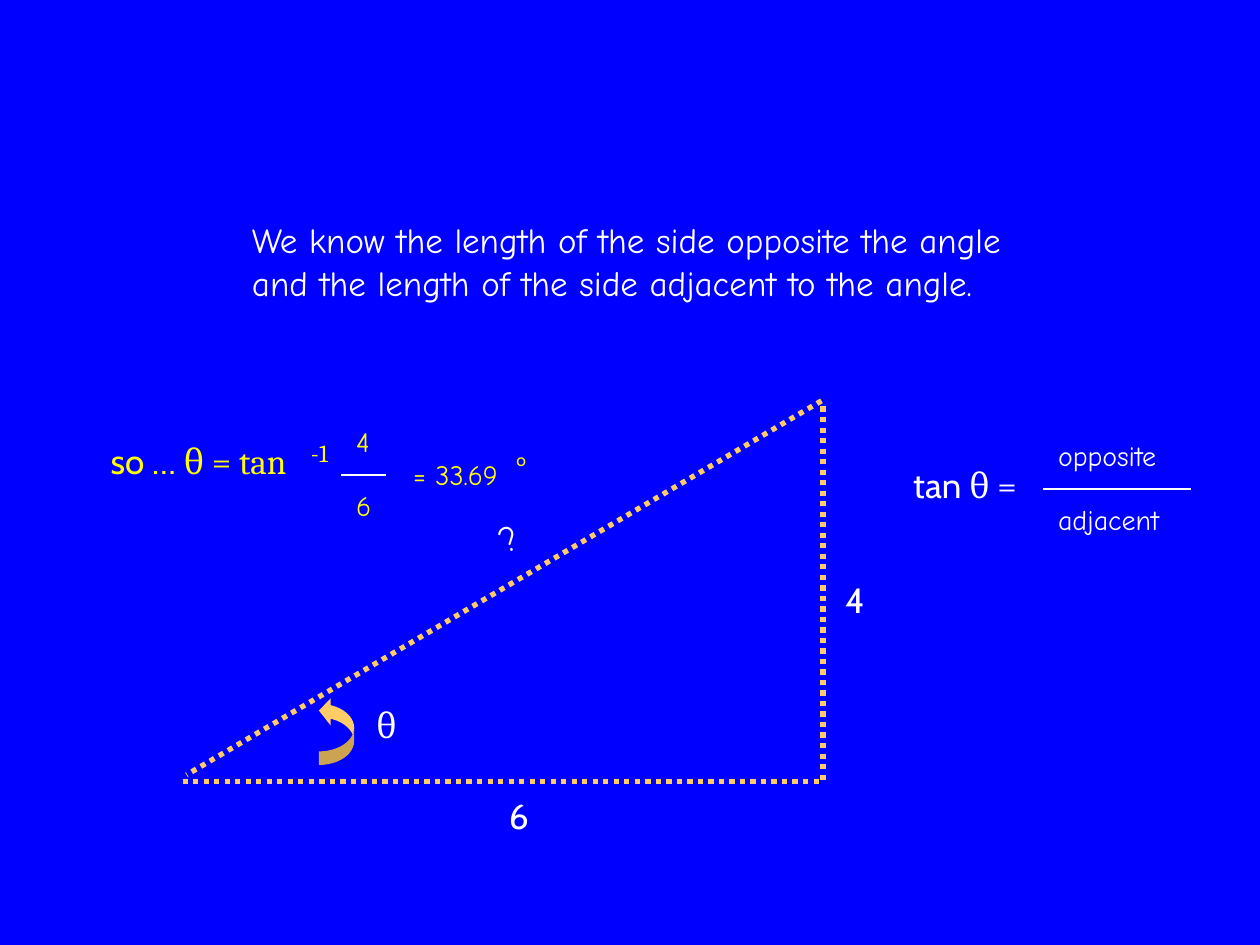
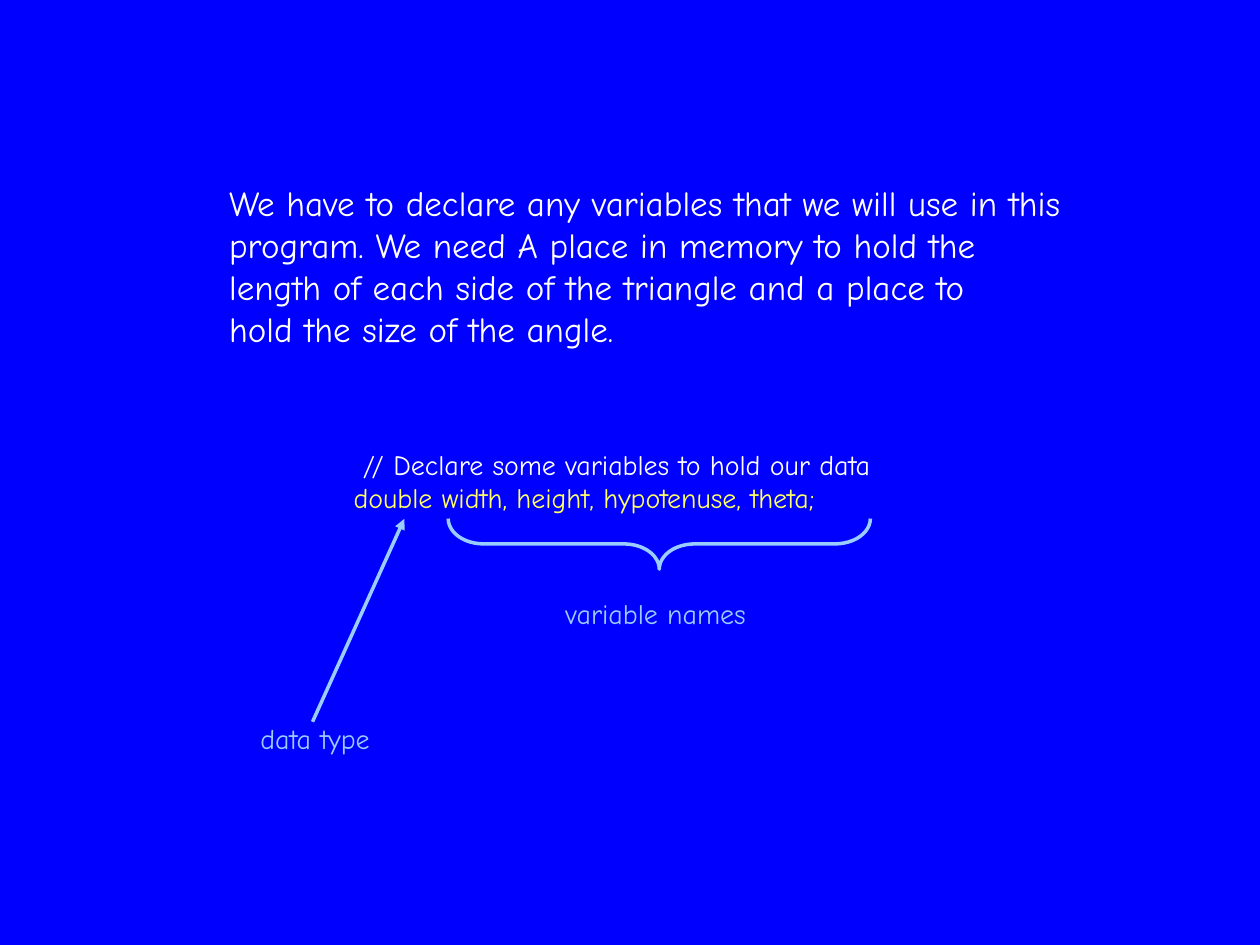
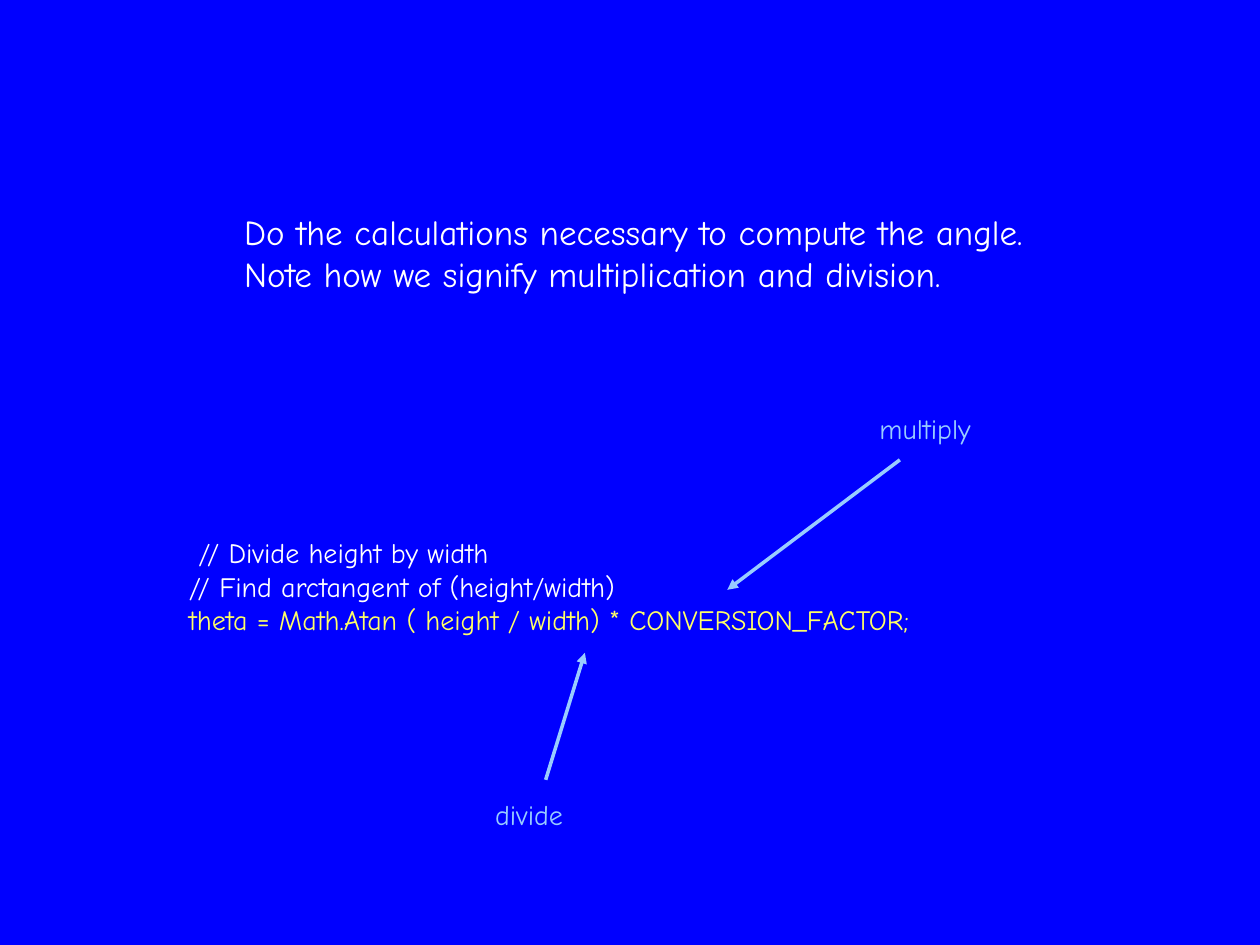
from lxml import etree
from pptx import Presentation
from pptx import util as u
from pptx.dml import color as c
from pptx.enum import dml, shapes, text
from pptx.oxml import ns

# Shared look
BLUE, WHITE, YELLOW = "0000FF", "FFFFFF", "FFFF00"
CODE_YELLOW, SKY, GOLD = "FFFF66", "99CCFF", "FFCC66"
HAND, SANS, SERIF = "Comic Neue", "Cabin", "Cambria"
LARGE, SMALL = 20, 16


def rgb(value):
    return c.RGBColor.from_string(value)


def format_run(run, size, font, color):
    run.font.size = u.Pt(size)
    run.font.name = font
    run.font.color.rgb = rgb(color)


def add_text(parent, left, top, width, content, size=SMALL, font=HAND, color=WHITE):
    """Add an unwrapped text box, one paragraph per line of content."""
    line_count = content.count("\n") + 1
    height = 0.25 + 0.0427 * size * line_count
    box = parent.shapes.add_textbox(u.Cm(left), u.Cm(top), u.Cm(width), u.Cm(height))
    frame = box.text_frame
    frame.text = content
    frame.word_wrap = False
    frame.auto_size = text.MSO_AUTO_SIZE.SHAPE_TO_FIT_TEXT
    for paragraph in frame.paragraphs:
        for run in paragraph.runs:
            format_run(run, size, font, color)
    return box


def add_line(parent, start, end, color, weight, dash=None, arrow=False):
    points = [u.Cm(value) for value in (*start, *end)]
    line = parent.shapes.add_connector(shapes.MSO_CONNECTOR.STRAIGHT, *points)
    line.line.color.rgb = rgb(color)
    line.line.width = u.Pt(weight)
    if dash:
        line.line.dash_style = dash
    if arrow:
        etree.SubElement(line.line._get_or_add_ln(), ns.qn("a:tailEnd"), type="triangle")
    etree.SubElement(line._element.spPr, ns.qn("a:effectLst"))


def add_preset(parent, kind, left, top, width, height, rotation, adjustments):
    shape = parent.shapes.add_shape(kind, u.Cm(left), u.Cm(top), u.Cm(width), u.Cm(height))
    shape.shadow.inherit = False
    shape.rotation = rotation
    for index, value in enumerate(adjustments):
        shape.adjustments[index] = value
    return shape


# Triangle slide
def add_triangle(slide, left, top, width, height):
    def at(x, y):
        return left + x, top + y

    # Dotted sides
    sides = [
        (at(0, height), at(width, height)),
        (at(width, height - 0.03), at(width, 0.02)),
        (at(width - 0.03, 0), at(0.08, height - 0.13)),
    ]
    for start, end in sides:
        add_line(slide, start, end, GOLD, 3, dash=dml.MSO_LINE.ROUND_DOT)

    # Side and angle labels
    hypotenuse = add_text(slide, *at(6.15, 2.18), 0.89, "?", LARGE)
    hypotenuse.rotation = 329.4
    add_text(slide, *at(6.33, height + 0.15), 0.89, "6", LARGE, SANS)
    add_text(slide, *at(width + 0.2, 3.45), 0.89, "4", LARGE, SANS)
    add_text(slide, *at(3.66, 5.97), 0.91, "θ", LARGE, SERIF)

    # Angle arrow
    arrow = add_preset(slide, shapes.MSO_SHAPE.CURVED_UP_ARROW, *at(2.42, 6.3),
                       1.37, 0.71, 270, (0.385, 0.77, 0.333))
    arrow.fill.solid()
    arrow.fill.fore_color.rgb = rgb(GOLD)
    arrow.line.fill.background()


def add_fraction(parent, left, middle, width, numerator, denominator, text_width, color):
    add_line(parent, (left, middle), (left + width, middle), WHITE, 1)
    for label, offset in ((numerator, -1.14), (denominator, 0.14)):
        add_text(parent, left + 0.05, middle + offset, text_width, label, color=color)


def add_equation(parent, left, top, width, lead, rest, color):
    box = add_text(parent, left, top, width, lead, LARGE, SANS, color)
    run = box.text_frame.paragraphs[0].add_run()
    run.text = rest
    format_run(run, LARGE, SERIF, color)


def add_tangent_rule(slide, left, top):
    group = slide.shapes.add_group_shape()
    add_equation(group, left, top + 0.51, 2.74, "tan ", "θ =", WHITE)
    add_fraction(group, left + 2.87, top + 1.15, 2.97, "opposite", "adjacent", 2.77, WHITE)


def add_solution(slide, left, top):
    # Inverse tangent
    group = slide.shapes.add_group_shape()
    add_equation(group, left, top + 0.3, 4.83, "so … ", "θ = tan", YELLOW)
    add_text(group, left + 4.04, top + 0.28, 0.94, "-1", 14, SERIF, YELLOW)
    add_fraction(group, left + 4.9, top + 1.15, 0.91, "4", "6", 0.86, YELLOW)

    # Result in degrees
    result = slide.shapes.add_group_shape()
    add_text(result, left + 6.1, top + 0.66, 2.51, "= 33.69", color=YELLOW)
    add_text(result, left + 8.18, top + 0.49, 0.74, "o", 10, SANS, YELLOW)


def build_triangle_slide(slide):
    add_text(slide, 4.83, 4.29, 17.27,
             "We know the length of the side opposite the angle\n"
             "and the length of the side adjacent to the angle.", LARGE)
    add_triangle(slide, 3.68, 8.08, 12.91, 7.67)
    add_tangent_rule(slide, 18.16, 8.71)
    add_solution(slide, 1.98, 8.43)


# Code slides
def add_code(slide, left, top, width, content):
    """Add white comment lines followed by one yellow statement."""
    box = add_text(slide, left, top, width, content)
    box.text_frame.paragraphs[-1].runs[0].font.color.rgb = rgb(CODE_YELLOW)


def add_callout(slide, left, top, width, label, start, end):
    """Add a label and an arrow; start and end are relative to the label."""
    add_text(slide, left, top, width, label, color=SKY)
    add_line(slide, (left + start[0], top + start[1]), (left + end[0], top + end[1]),
             SKY, 2, arrow=True)


def build_declaration_slide(slide):
    left, top = 6.88, 8.89
    add_text(slide, 4.37, 3.53, 19.35,
             "We have to declare any variables that we will use in this\n"
             "program. We need A place in memory to hold the\n"
             "length of each side of the triangle and a place to\n"
             "hold the size of the angle.", LARGE)
    add_code(slide, left, top, 12.4,
             " // Declare some variables to hold our data\n"
             "double width, height, hypotenuse, theta;")
    add_callout(slide, left - 1.88, top + 5.54, 3.02, "data type", (1.3, 0.12), (3.15, -3.97))

    # Brace under the variable names
    brace = add_preset(slide, shapes.MSO_SHAPE.RIGHT_BRACE, left + 5.9, top - 2.18,
                       1.02, 8.51, 90, (0.7, 0.5))
    brace.fill.background()
    brace.line.color.rgb = rgb(SKY)
    brace.line.width = u.Pt(2)
    add_text(slide, left + 4.27, top + 3.02, 4.37, "variable names", color=SKY)


def build_calculation_slide(slide):
    left, top = 3.56, 10.67
    add_text(slide, 4.67, 4.11, 17.68,
             "Do the calculations necessary to compute the angle.\n"
             "Note how we signify multiplication and division.", LARGE)
    add_code(slide, left, top, 17.42,
             " // Divide height by width\n"
             "// Find arctangent of (height/width)\n"
             "theta = Math.Atan ( height / width) * CONVERSION_FACTOR;")
    add_callout(slide, left + 13.92, top - 2.49, 2.57, "multiply", (0.66, 1.09), (-2.82, 3.71))
    add_callout(slide, left + 6.17, top + 5.28, 2.08, "divide", (1.27, -0.23), (2.06, -2.79))


def main():
    presentation = Presentation()
    presentation.slide_width, presentation.slide_height = u.Cm(25.4), u.Cm(19.05)
    background = presentation.slide_master.background.fill
    background.solid()
    background.fore_color.rgb = rgb(BLUE)
    blank = presentation.slide_layouts[6]
    for build in (build_triangle_slide, build_declaration_slide, build_calculation_slide):
        build(presentation.slides.add_slide(blank))
    presentation.save("out.pptx")


if __name__ == "__main__":
    main()
